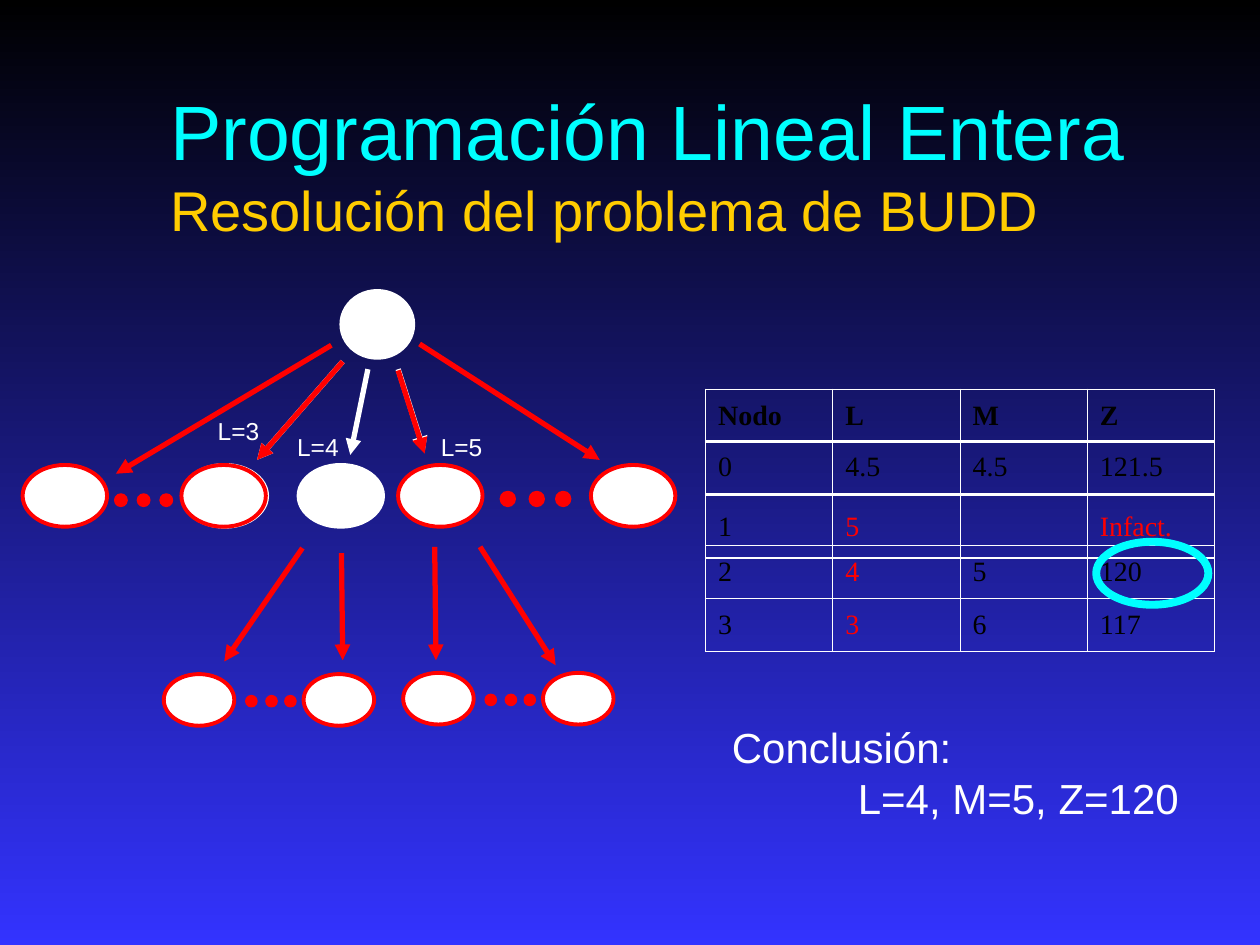
from lxml.etree import SubElement
from pptx import Presentation
from pptx.dml.color import RGBColor
from pptx.enum.shapes import MSO_CONNECTOR, MSO_SHAPE
from pptx.enum.text import MSO_ANCHOR, MSO_AUTO_SIZE, PP_ALIGN
from pptx.oxml.ns import qn
from pptx.util import Inches, Pt

WHITE, RED, CYAN, GOLD, BLACK = "FFFFFF", "FF0000", "00FFFF", "FFCC00", "000000"


def color(hex_code):
    return RGBColor.from_string(hex_code)


def apply(target, values):
    for name, value in values.items():
        setattr(target, name, value)


class TreeSlide:
    sans, serif = "Arial", "Times New Roman"
    frame_format = {"word_wrap": True, "auto_size": MSO_AUTO_SIZE.NONE}

    def __init__(self, slide):
        self.slide = slide

    def background(self, top, bottom):
        fill = self.slide.background.fill
        fill.gradient()
        fill.gradient_angle = 270
        for stop, shade in zip(fill.gradient_stops, (top, bottom)):
            stop.color.rgb = color(shade)

    def run(self, paragraph, text, size, shade, font=sans, bold=False):
        run = paragraph.add_run()
        run.text = text
        apply(run.font, {"size": Pt(size), "name": font, "bold": bold})
        run.font.color.rgb = color(shade)

    def title(self, box, parts):
        title = self.slide.shapes.title
        apply(title, dict(zip(("left", "top", "width", "height"), map(Inches, box))))
        apply(title.text_frame, {**self.frame_format, "vertical_anchor": MSO_ANCHOR.MIDDLE})
        paragraph = title.text_frame.paragraphs[0]
        paragraph.alignment = PP_ALIGN.LEFT
        for text, size, shade in parts:
            self.run(paragraph, text, size, shade)

    def text(self, box, lines, size, wrap=True):
        frame = self.slide.shapes.add_textbox(*map(Inches, box)).text_frame
        apply(frame, {**self.frame_format, "word_wrap": wrap})
        for index, (line, indent) in enumerate(lines):
            paragraph = frame.add_paragraph() if index else frame.paragraphs[0]
            if indent:
                paragraph._p.get_or_add_pPr().set("marL", str(Inches(indent)))
            self.run(paragraph, line, size, WHITE)

    def oval(self, left, top, width, height, line, fill=WHITE, weight=2.25):
        box = map(Inches, (left, top, width, height))
        oval = self.slide.shapes.add_shape(MSO_SHAPE.OVAL, *box)
        oval.shadow.inherit = False
        if fill:
            oval.fill.solid()
            oval.fill.fore_color.rgb = color(fill)
        else:
            oval.fill.background()
        oval.line.color.rgb = color(line)
        oval.line.width = Pt(weight)

    def dots(self, lefts, top, size):
        for left in lefts:
            self.oval(left, top, size, size, RED, RED, 0.75)

    def arrow(self, start, end, shade=RED):
        arrow = self.slide.shapes.add_connector(
            MSO_CONNECTOR.STRAIGHT, *map(Inches, (*start, *end)))
        arrow.line.color.rgb = color(shade)
        arrow.line.width = Pt(3)
        SubElement(arrow.line._get_or_add_ln(), qn("a:tailEnd"), type="triangle")
        SubElement(arrow._element.spPr, qn("a:effectLst"))

    def border(self, cell, side, weight):
        line = SubElement(cell._tc.get_or_add_tcPr(), qn("a:" + side), w=str(Pt(weight)))
        SubElement(SubElement(line, qn("a:solidFill")), qn("a:srgbClr"), val=WHITE)

    def table_row(self, top, height, entries, bold=False):
        box = map(Inches, (5.6, top, 4.04, height))
        table = self.slide.shapes.add_table(1, len(entries), *box).table
        apply(table, {"first_row": False, "horz_banding": False})
        last = len(entries) - 1
        for index, (text, shade) in enumerate(entries):
            cell = table.cell(0, index)
            cell.vertical_anchor = MSO_ANCHOR.MIDDLE
            outer, inner = 1.08, 0.45
            self.border(cell, "lnL", inner if index else outer)
            self.border(cell, "lnR", inner if index < last else outer)
            self.border(cell, "lnT", outer)
            self.border(cell, "lnB", outer)
            cell.fill.background()
            if text:
                paragraph = cell.text_frame.paragraphs[0]
                paragraph.space_before = Pt(4)
                self.run(paragraph, text, 16, shade, self.serif, bold)


def main():
    prs = Presentation()
    apply(prs, {"slide_width": Inches(10), "slide_height": Inches(7.5)})
    page = TreeSlide(prs.slides.add_slide(prs.slide_layouts[5]))
    page.background(BLACK, "3333FF")
    page.title((1.25, 0.67, 8.5, 1.25), [
        ("Programación Lineal Entera ", 44, CYAN),
        ("Resolución del problema de BUDD", 32, GOLD)])

    # Root and first level of the tree
    page.oval(2.71, 2.31, 0.57, 0.53, WHITE)
    node_width, node_height, node_top = 0.67, 0.49, 3.69
    for left, line in ((0.18, RED), (1.45, WHITE), (1.44, RED),
                       (2.37, WHITE), (3.16, RED), (4.69, RED)):
        page.oval(left, node_top, node_width, node_height, line)
    page.dots((0.91, 1.09, 1.27), 3.92, 0.1)
    page.dots((3.97, 4.2, 4.41), 3.9, 0.12)

    # Branches from the root, the explored ones edged in white
    for start, end, shade in (
            ((2.63, 2.74), (0.92, 3.76), RED),
            ((2.72, 2.87), (2.04, 3.65), WHITE),
            ((2.72, 2.87), (2.04, 3.65), RED),
            ((2.92, 2.93), (2.78, 3.61), WHITE),
            ((3.16, 2.93), (3.37, 3.59), WHITE),
            ((3.16, 2.94), (3.37, 3.6), RED),
            ((3.33, 2.73), (4.76, 3.65), RED)):
        page.arrow(start, end, shade)
    for label, left, top in (("L=3", 1.63, 3.25), ("L=4", 2.26, 3.38), ("L=5", 3.4, 3.38)):
        page.text((left, top, 0.53, 0.34), [(label, 0)], 14, wrap=False)

    # Second level: two groups of leaves
    for left, top in ((1.3, 5.35), (3.2, 5.34)):
        for leaf_left in (left, left + 1.11):
            page.oval(leaf_left, top, 0.56, 0.41, RED)
        page.dots((left + 0.65, left + 0.81, left + 0.96), top + 0.17, 0.09)
    for start, end in (((2.4, 4.35), (1.78, 5.25)), ((2.71, 4.39), (2.72, 5.24)),
                       ((3.45, 4.34), (3.46, 5.24)), ((3.81, 4.34), (4.41, 5.28))):
        page.arrow(start, end)

    # Results, one table per node, with the optimum circled
    page.table_row(3.09, 0.42, [(head, BLACK) for head in ("Nodo", "L", "M", "Z")], bold=True)
    for top, height, values, red_columns in (
            (3.5, 0.42, ("0", "4.5", "4.5", "121.5"), ()),
            (3.93, 0.5, ("1", "5", "", "Infact."), (1, 3)),
            (4.33, 0.42, ("2", "4", "5", "120"), (1,)),
            (4.75, 0.42, ("3", "3", "6", "117"), (1,))):
        page.table_row(top, height, [(value, RED if column in red_columns else BLACK)
                                     for column, value in enumerate(values)])
    page.oval(8.7, 4.3, 0.89, 0.5, CYAN, fill=None, weight=4.5)

    # Conclusion
    page.text((5.71, 5.68, 3.75, 0.9), [("Conclusión:", 0), ("L=4, M=5, Z=120", 1)], 24)
    prs.save("out.pptx")


if __name__ == "__main__":
    main()
